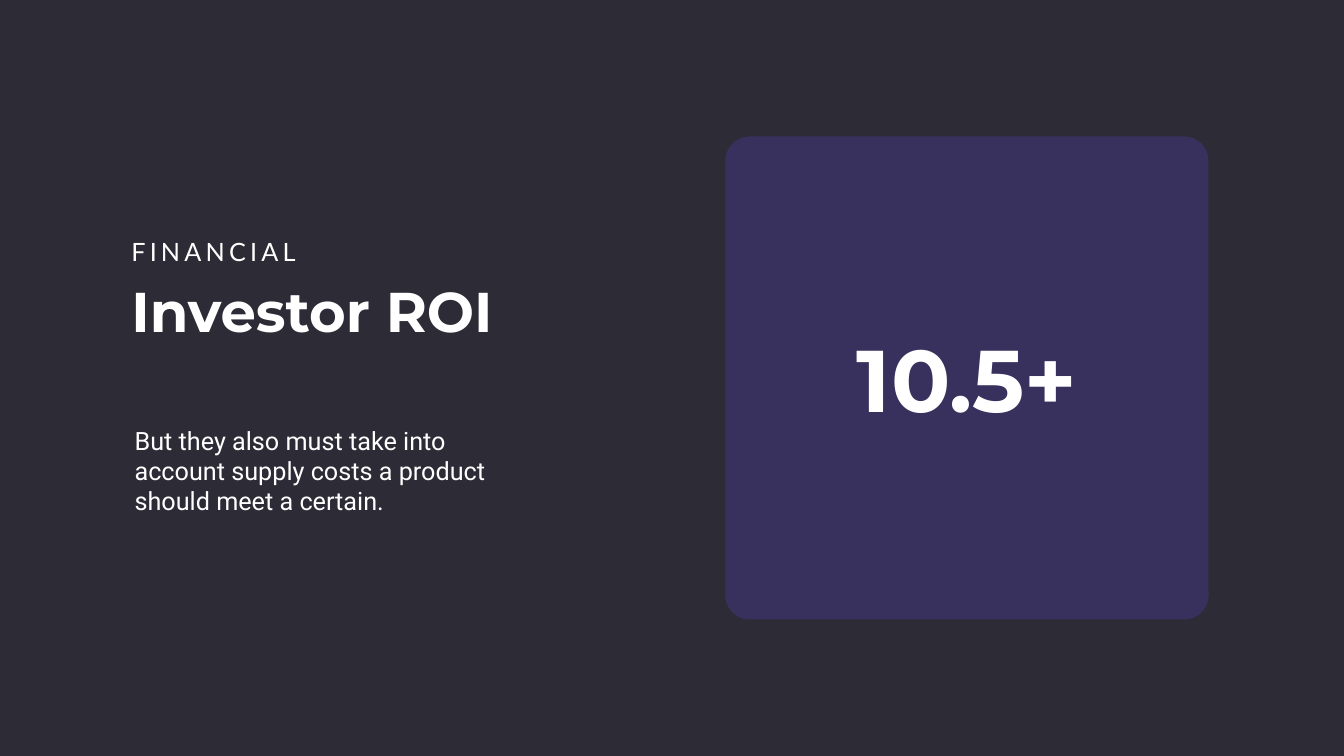
"""Build the Investor ROI slide with a headline figure on a rounded card."""
from dataclasses import dataclass

from lxml.etree import SubElement
from pptx import Presentation
from pptx.dml.color import RGBColor
from pptx.enum.shapes import MSO_SHAPE
from pptx.enum.text import MSO_ANCHOR, MSO_AUTO_SIZE, PP_ALIGN
from pptx.oxml.ns import qn
from pptx.util import Pt


@dataclass(frozen=True)
class Theme:
    background: RGBColor = RGBColor(0x2D, 0x2C, 0x36)
    card: RGBColor = RGBColor(0x66, 0x42, 0xFB)
    text: RGBColor = RGBColor(0xFF, 0xFF, 0xFF)
    heading_font: str = "Montserrat"
    label_font: str = "Lato"
    body_font: str = "Roboto"
    figure_size: int = 125
    title_size: int = 80
    body_size: int = 36
    body_line: int = 43


theme = Theme()


def place(shape, left, top, width, height):
    shape.left, shape.top, shape.width, shape.height = Pt(left), Pt(top), Pt(width), Pt(height)


def write(shape, text, font, size, bold=False, alignment=PP_ALIGN.LEFT):
    frame = shape.text_frame
    frame.text = text
    frame.word_wrap = True
    frame.auto_size = MSO_AUTO_SIZE.SHAPE_TO_FIT_TEXT
    frame.vertical_anchor = MSO_ANCHOR.TOP
    paragraph = frame.paragraphs[0]
    paragraph.alignment = alignment
    paragraph.font.name = font
    paragraph.font.size = Pt(size)
    paragraph.font.bold = bold
    paragraph.font.color.rgb = theme.text
    return paragraph


presentation = Presentation()
presentation.slide_width = Pt(1919.5)
presentation.slide_height = Pt(1080)
slide = presentation.slides.add_slide(presentation.slide_layouts[5])
slide.background.fill.solid()
slide.background.fill.fore_color.rgb = theme.background

card = slide.shapes.add_shape(MSO_SHAPE.ROUNDED_RECTANGLE, Pt(1036), Pt(195), Pt(690), Pt(690))
card.adjustments[0] = 0.05
card.shadow.inherit = False
card.line.fill.background()
card.fill.solid()
card.fill.fore_color.rgb = theme.card
card_color = card.fill._xPr.find(qn("a:solidFill"))[0]
SubElement(card_color, qn("a:alpha"), val="20000")

figure = slide.shapes.add_textbox(Pt(1138.5), Pt(461), Pt(485), Pt(158.5))
write(figure, "10.5+", theme.heading_font, theme.figure_size, True, PP_ALIGN.CENTER)

label = slide.shapes.add_textbox(Pt(180.5), Pt(333.5), Pt(265), Pt(51))
label_paragraph = write(label, "FINANCIAL", theme.label_font, theme.body_size)
label_paragraph.runs[0].font._element.set("spc", "600")

title = slide.shapes.title
place(title, 180.5, 391.5, 548.5, 104.5)
write(title, "Investor ROI", theme.heading_font, theme.title_size, True)

body = slide.shapes.add_textbox(Pt(175), Pt(599), Pt(548.5), Pt(147.5))
body_paragraph = write(
    body,
    "But they also must take into account supply costs a product should meet a certain.",
    theme.body_font,
    theme.body_size,
)
body_paragraph.line_spacing = Pt(theme.body_line)
body.text_frame.margin_left = body.text_frame.margin_right = Pt(17.25)
body.text_frame.margin_top = body.text_frame.margin_bottom = Pt(8.64)

presentation.save("out.pptx")
